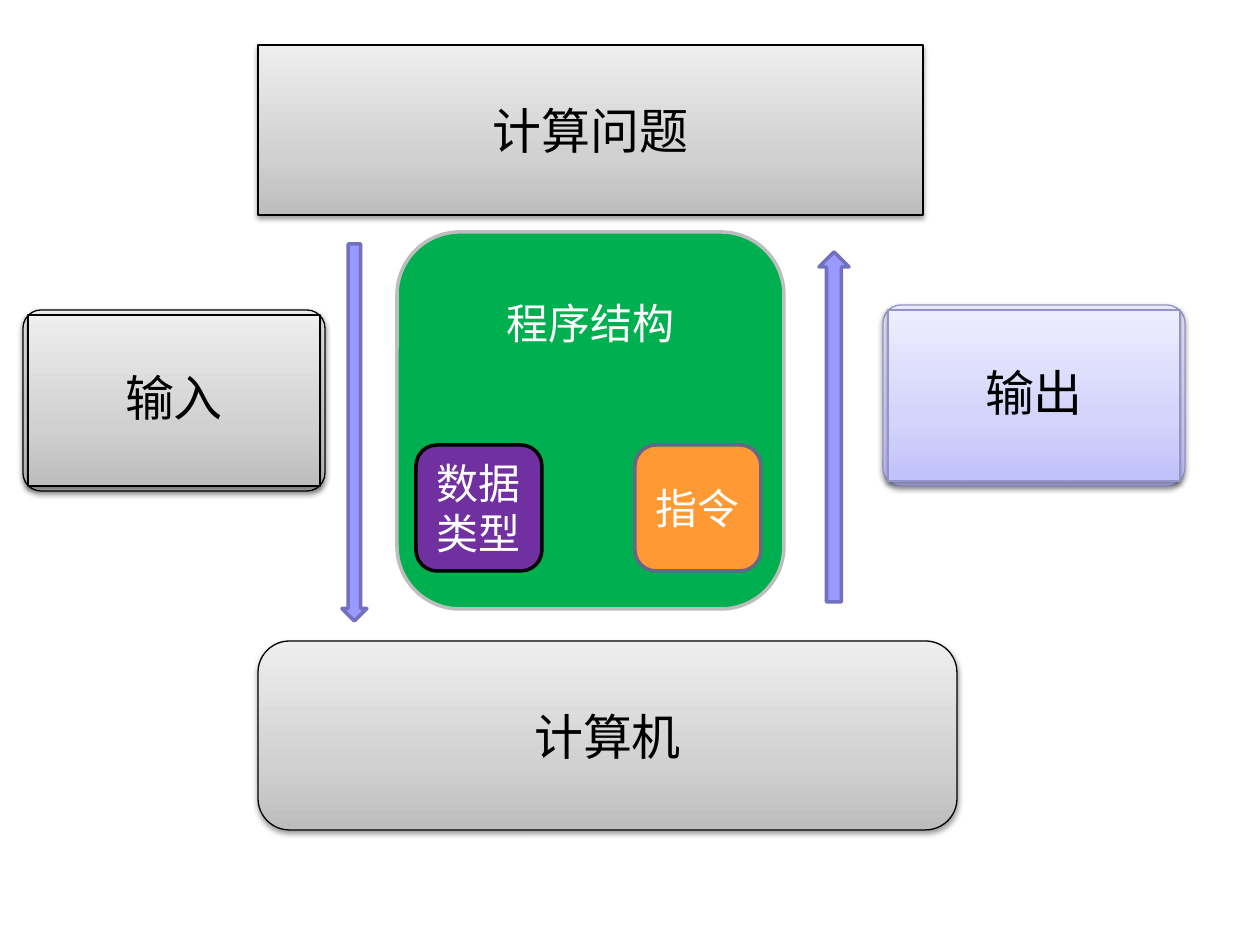
"""Build a slide showing how a program links a computing problem to a computer."""
from dataclasses import dataclass

from lxml import etree
from pptx import Presentation
from pptx import util as u
from pptx.dml.color import RGBColor
from pptx.enum import shapes, text
from pptx.oxml.ns import qn

KIND = shapes.MSO_SHAPE


@dataclass(frozen=True)
class Theme:
    font: str = "Arial"
    large: int = 28
    medium: int = 24
    thin: float = 0.75
    thick: float = 2
    black: str = "000000"
    white: str = "FFFFFF"
    green: str = "00B050"
    green_edge: str = "BDBDBD"
    purple: str = "7030A0"
    orange: str = "FF9933"
    orange_edge: str = "666689"
    arrow: str = "9999FF"
    arrow_edge: str = "7171BD"
    lilac_edge: str = "9494C9"
    grey: tuple = ((0, "BDBDBD"), (35, "D1D1D1"), (100, "EEEEEE"))
    lilac: tuple = ((0, "C1C1FB"), (35, "D3D3FB"), (100, "EDEDFF"))


class Deck:
    def __init__(self, theme, width, height):
        self.theme = theme
        self.prs = Presentation()
        self.prs.slide_width = self.px(width)
        self.prs.slide_height = self.px(height)
        self.s = self.prs.slides.add_slide(self.prs.slide_layouts[6])

    def px(self, n):
        return u.Emu(round(n * 914400 / 126))

    def shape(self, kind, box, edge, weight, parent=None):
        sp = (parent or self.s).shapes.add_shape(kind, *map(self.px, box))
        sp.shadow.inherit = False
        sp.line.color.rgb = RGBColor.from_string(edge)
        sp.line.width = u.Pt(weight)
        return sp

    def flat(self, kind, box, fill, edge):
        sp = self.shape(kind, box, edge, self.theme.thick)
        sp.fill.solid()
        sp.fill.fore_color.rgb = RGBColor.from_string(fill)
        return sp

    def shaded(self, kind, box, stops, edge, parent=None):
        sp = self.shape(kind, box, edge, self.theme.thin, parent)
        sp.fill.gradient()
        sp.fill.gradient_angle = 90
        gs_list = sp.element.spPr.find(".//" + qn("a:gsLst"))
        for old in list(gs_list):
            gs_list.remove(old)
        for pos, color in stops:
            gs = etree.SubElement(gs_list, qn("a:gs"), pos=str(pos * 1000))
            etree.SubElement(gs, qn("a:srgbClr"), val=color)
        self.shadow(sp)
        return sp

    def shadow(self, sp):
        effects = sp.element.spPr.find(qn("a:effectLst"))
        outer = etree.SubElement(
            effects, qn("a:outerShdw"), blurRad=str(u.Pt(3.1)), dist=str(u.Pt(1.6)),
            dir="5400000", rotWithShape="0")
        color = etree.SubElement(outer, qn("a:srgbClr"), val=self.theme.black)
        etree.SubElement(color, qn("a:alpha"), val="38000")

    def label(self, sp, words, size, color):
        tf = sp.text_frame
        tf.text = words
        tf.word_wrap = True
        tf.vertical_anchor = text.MSO_ANCHOR.MIDDLE
        p = tf.paragraphs[0]
        p.alignment = text.PP_ALIGN.CENTER
        font = p.runs[0].font
        font.name = self.theme.font
        font.size = u.Pt(size)
        font.color.rgb = RGBColor.from_string(color)
        return tf

    def card(self, left, top, words, stops, edge):
        width, height, rim, inset = 302, 181, 5, 29
        group = self.s.shapes.add_group_shape()
        frame = self.shaded(KIND.ROUNDED_RECTANGLE, (left, top, width, height),
                            stops, edge, group)
        frame.adjustments[0] = 0.1
        inner = (left + rim, top + rim, width - 2 * rim, height - 2 * rim)
        panel = self.shaded(KIND.RECTANGLE, inner, stops, edge, group)
        tf = self.label(panel, words, self.theme.large, self.theme.black)
        tf.margin_left = tf.margin_right = self.px(inset)
        tf.margin_top = tf.margin_bottom = self.px(inset)
        tf.paragraphs[0].line_spacing = 0.9


def main():
    t = Theme()
    deck = Deck(t, 1260, 945)
    rounded = KIND.ROUNDED_RECTANGLE

    program = deck.flat(rounded, (397, 232, 387, 377), t.green, t.green_edge)
    tf = deck.label(program, "程序结构", t.medium, t.white)
    tf.vertical_anchor = text.MSO_ANCHOR.TOP
    tf.margin_top = deck.px(47)

    for left, words, fill, edge in (
        (416, "数据类型", t.purple, t.black),
        (635, "指令", t.orange, t.orange_edge),
    ):
        part = deck.flat(rounded, (left, 445, 126, 126), fill, edge)
        deck.label(part, words, t.medium, t.white)

    for kind, box, words in (
        (rounded, (258, 641, 699, 189), "计算机"),
        (KIND.RECTANGLE, (258, 45, 665, 170), "计算问题"),
    ):
        block = deck.shaded(kind, box, t.grey, t.black)
        deck.label(block, words, t.large, t.black)

    deck.flat(KIND.DOWN_ARROW, (342, 244, 25, 377), t.arrow, t.arrow_edge)
    deck.flat(KIND.UP_ARROW, (819, 252, 30, 350), t.arrow, t.arrow_edge)

    deck.card(883, 305, "输出", t.lilac, t.lilac_edge)
    deck.card(23, 310, "输入", t.grey, t.black)

    deck.prs.save("out.pptx")


if __name__ == "__main__":
    main()
